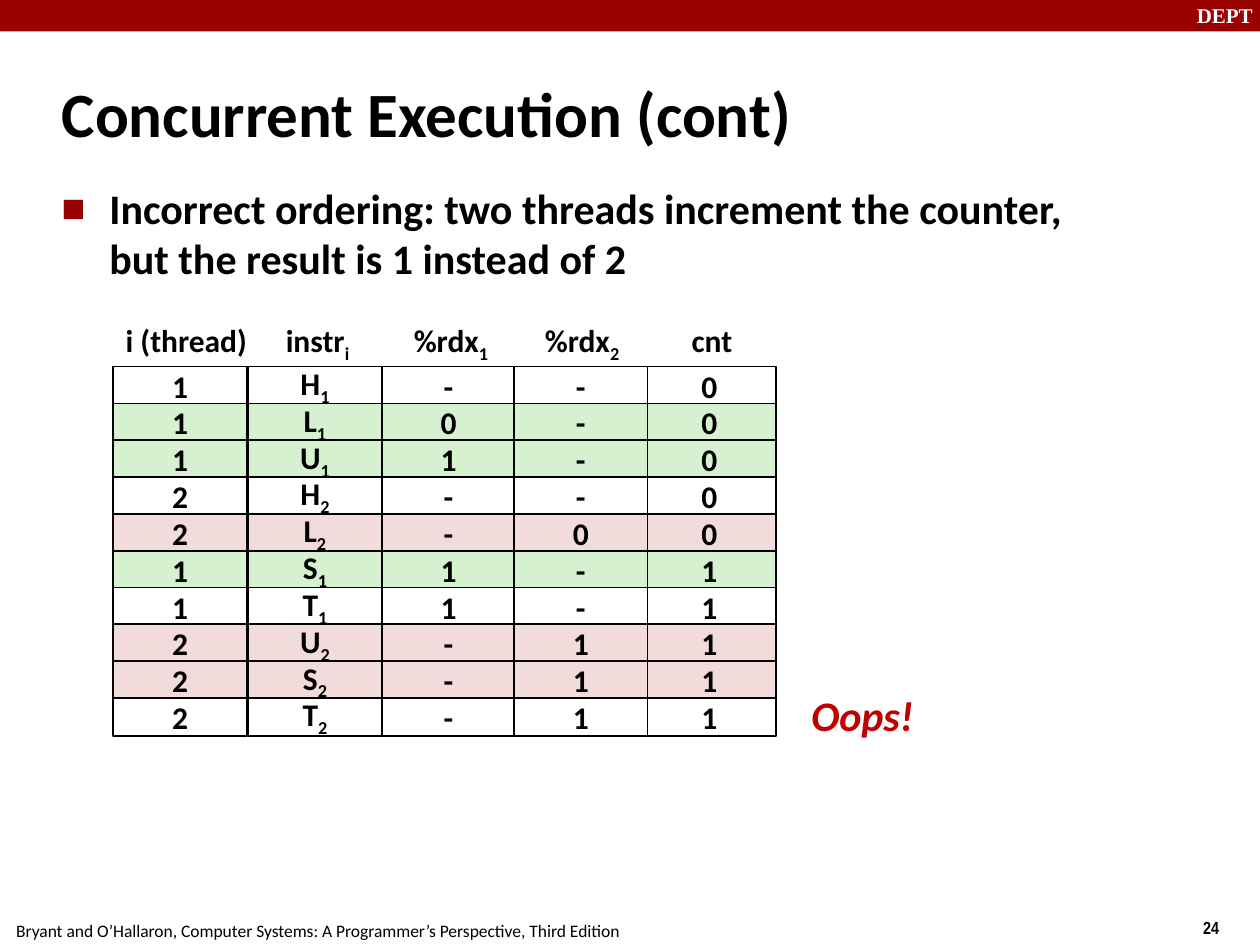
from dataclasses import dataclass

from lxml import etree
from pptx import Presentation, util as u
from pptx.dml.color import RGBColor
from pptx.enum import shapes, text
from pptx.oxml.ns import qn

TITLE = "Concurrent Execution (cont)"
POINT = ("Incorrect ordering: two threads increment the counter, "
         "but the result is 1 instead of 2")
VERDICT = "Oops!"
BANNER = "DEPT"
CREDIT = "Bryant and O’Hallaron, Computer Systems: A Programmer’s Perspective, Third Edition"
PAGE = "24"

# An underscore starts a subscript.
# Column: heading, heading centre, cell left
COLUMNS = [
    ("i (thread)", 1.48, 0.9),
    ("instr_i", 2.52, 1.97),
    ("%rdx_1", 3.58, 3.03),
    ("%rdx_2", 4.62, 4.08),
    ("cnt", 5.65, 5.1),
]
# Step: thread, operation, %rdx1, %rdx2, cnt
STEPS = [
    ("1", "H", "-", "-", "0"),
    ("1", "L", "0", "-", "0"),
    ("1", "U", "1", "-", "0"),
    ("2", "H", "-", "-", "0"),
    ("2", "L", "-", "0", "0"),
    ("1", "S", "1", "-", "1"),
    ("1", "T", "1", "-", "1"),
    ("2", "U", "-", "1", "1"),
    ("2", "S", "-", "1", "1"),
    ("2", "T", "-", "1", "1"),
]
CRITICAL = "LUS"
PAINT_ORDER = (0, 1, 2, 4, 3)  # %rdx2 overlaps the left edge of cnt

WIDTH, HEIGHT = 10, 7.5
GRID_TOP, GRID_LAST = 2.91, 5.54
ROW_STEP = (GRID_LAST - GRID_TOP) / (len(STEPS) - 1)
CELL_W, CELL_H = 1.06, 0.3
HEAD_TOP, HEAD_W = 2.5, 1.16


@dataclass(frozen=True)
class Theme:
    font: str = "Calibri"
    banner_font: str = "Times New Roman"
    page_font: str = "Arial Narrow"
    ink: str = "000000"
    paper: str = "FFFFFF"
    brand: str = "990000"
    alert: str = "C00000"
    thread1: str = "D5F1CF"
    thread2: str = "F2DCDB"
    title: int = 36
    body: int = 24
    cell: int = 18
    banner: int = 12
    small: int = 10


T = Theme()
LEFT, CENTER = text.PP_ALIGN.LEFT, text.PP_ALIGN.CENTER
TOP, MIDDLE = text.MSO_ANCHOR.TOP, text.MSO_ANCHOR.MIDDLE


def rgb(value):
    return RGBColor.from_string(value)


def write(s, content, size=T.cell, color=T.ink, font=T.font, bold=True,
          italic=False, align=LEFT, anchor=TOP, wrap=True):
    """Fill a shape with one paragraph and return that paragraph."""
    tf = s.text_frame
    tf.auto_size = text.MSO_AUTO_SIZE.NONE
    tf.word_wrap = wrap
    tf.vertical_anchor = anchor
    p = tf.paragraphs[0]
    p.alignment = align
    for i, part in enumerate(content.split("_")):
        r = p.add_run()
        r.text = part
        r.font.name, r.font.size = font, u.Pt(size)
        r.font.bold, r.font.italic = bold, italic
        r.font.color.rgb = rgb(color)
        if i:
            r.font._element.set("baseline", "-25000")
    return p


def label(slide, box, content, **fmt):
    s = slide.shapes.add_textbox(*map(u.Inches, box))
    return write(s, content, **fmt)


def rect(slide, box, fill, line=None):
    s = slide.shapes.add_shape(shapes.MSO_SHAPE.RECTANGLE, *map(u.Inches, box))
    s.shadow.inherit = False
    s.fill.solid()
    s.fill.fore_color.rgb = rgb(fill)
    if line:
        s.line.color.rgb = rgb(line)
        s.line.width = u.Pt(1)
    else:
        s.line.fill.background()
    return s


def add_bullet(p, color, percent, indent):
    p.space_before = u.Pt(4.8)
    pPr = p._p.get_or_add_pPr()
    pPr.set("marL", str(u.Inches(indent)))
    pPr.set("indent", str(-u.Inches(indent)))
    clr = etree.SubElement(pPr, qn("a:buClr"))
    etree.SubElement(clr, qn("a:srgbClr"), val=color)
    etree.SubElement(pPr, qn("a:buSzPct"), val=str(percent * 1000))
    etree.SubElement(pPr, qn("a:buFont"), typeface=T.font)
    etree.SubElement(pPr, qn("a:buChar"), char="■")


def add_frame(slide):
    """Banner, page number, credit and title."""
    rect(slide, (0, 0, WIDTH, 0.25), T.brand)
    label(slide, (9.4, -0.03, 0.67, 0.3), BANNER, size=T.banner,
          color=T.paper, font=T.banner_font, wrap=False)
    label(slide, (9.45, 7.23, 0.75, 0.29), PAGE, size=T.small, font=T.page_font)
    label(slide, (0.03, 7.25, 4.99, 0.26), CREDIT, size=T.small, bold=False,
          wrap=False)
    title = slide.shapes.title
    title.left, title.top, title.width, title.height = map(
        u.Inches, (0.39, 0.48, 8.3, 0.83))
    write(title, TITLE, size=T.title, anchor=MIDDLE)


def add_trace(slide):
    """Grid of execution steps; critical steps take their thread's colour."""
    for col in PAINT_ORDER:
        heading, centre, left = COLUMNS[col]
        head_h = 0.44 if "_" in heading else 0.4
        label(slide, (centre - HEAD_W / 2, HEAD_TOP, HEAD_W, head_h), heading,
              align=CENTER, anchor=MIDDLE, wrap=False)
        for row, (thread, op, *state) in enumerate(STEPS):
            fill = T.paper
            if op in CRITICAL:
                fill = T.thread1 if thread == "1" else T.thread2
            value = (thread, f"{op}_{thread}", *state)[col]
            box = (left, GRID_TOP + row * ROW_STEP, CELL_W, CELL_H)
            write(rect(slide, box, fill, line=T.ink), value,
                  align=CENTER, anchor=MIDDLE)


def main():
    prs = Presentation()
    prs.slide_width, prs.slide_height = u.Inches(WIDTH), u.Inches(HEIGHT)
    slide = prs.slides.add_slide(prs.slide_layouts[5])
    add_frame(slide)
    point = label(slide, (0.39, 1.4, 8.63, 0.94), POINT, size=T.body)
    add_bullet(point, T.brand, percent=60, indent=0.38)
    add_trace(slide)
    label(slide, (6.34, 5.42, 1.01, 0.5), VERDICT, size=T.body, color=T.alert,
          italic=True, align=CENTER, anchor=MIDDLE, wrap=False)
    prs.save("out.pptx")


if __name__ == "__main__":
    main()
